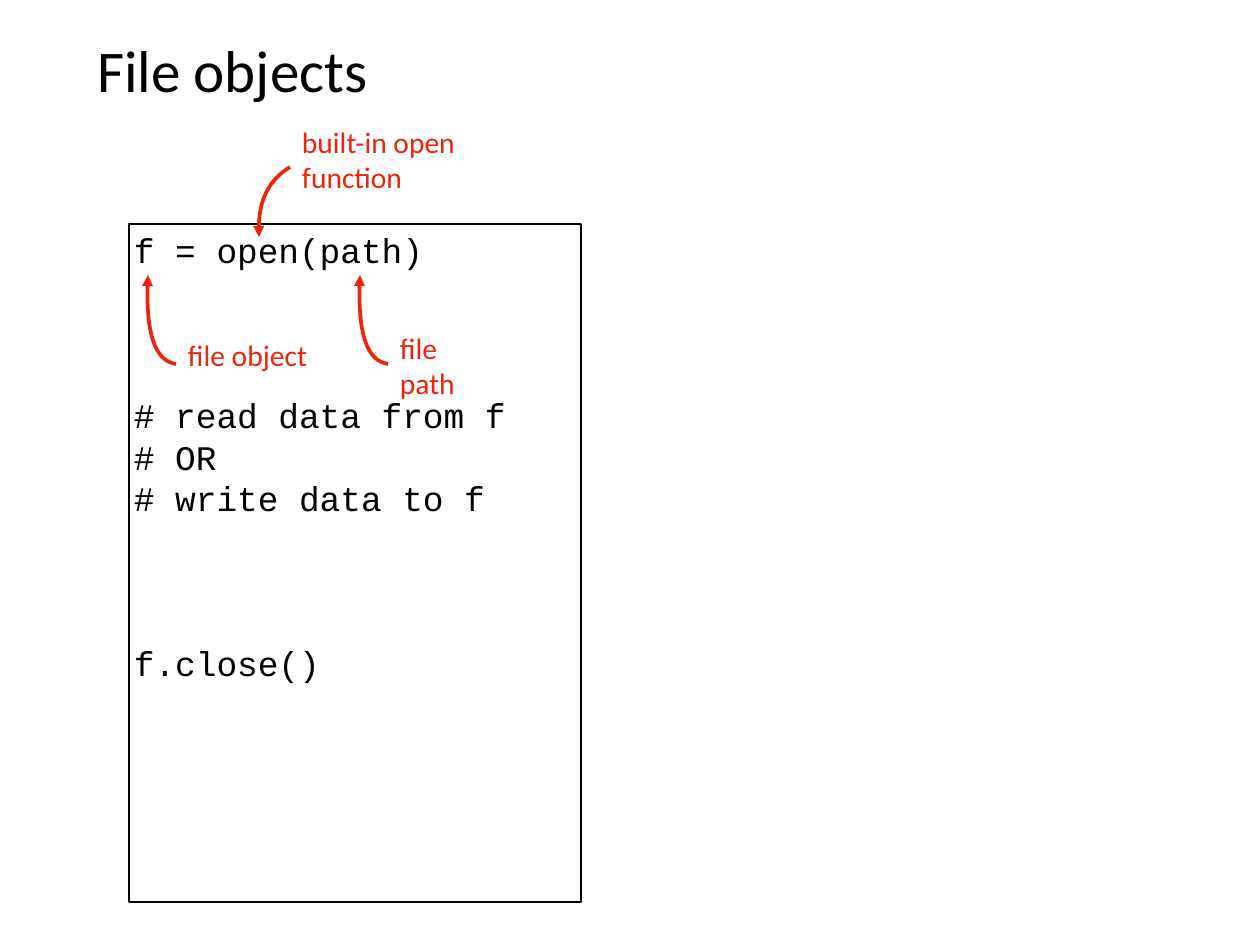
import pptx
import pptx.dml.color
import pptx.enum.text
import pptx.oxml.ns
import pptx.oxml.xmlchemy
import pptx.util
import lxml.etree

PX = 10321
COLORS = {"ink": "000000", "note": "EE230C", "paper": "FFFFFF"}
CODE_PITCH = 33.6
CODE_BLOCKS = [
    ["f = open(path)"],
    ["# read data from f", "# OR", "# write data to f"],
    ["f.close()"],
]
BLANK_LINES = 3


def px(length):
    return pptx.util.Emu(length * PX)


def color(name):
    return pptx.dml.color.RGBColor.from_string(COLORS[name])


def add_xml(parent, tag, **attributes):
    return lxml.etree.SubElement(parent, pptx.oxml.ns.qn(tag), attributes)


def place(box, left, top, width, height):
    box.left, box.top = px(left), px(top)
    box.width, box.height = px(width), px(height)


def format_frame(frame, anchor):
    frame.word_wrap = True
    frame.auto_size = pptx.enum.text.MSO_AUTO_SIZE.NONE
    frame.vertical_anchor = anchor
    frame.margin_left = frame.margin_right = px(5)
    frame.margin_top = frame.margin_bottom = px(5)


def format_paragraph(para, font_name, size, color_name):
    para.alignment = pptx.enum.text.PP_ALIGN.LEFT
    para.font.name = font_name
    para.font.size = pptx.util.Pt(size)
    para.font.color.rgb = color(color_name)


def fill_title(title, text):
    place(title, 92, 25, 1076, 88)
    format_frame(title.text_frame, pptx.enum.text.MSO_ANCHOR.MIDDLE)
    title.text_frame.text = text
    format_paragraph(title.text_frame.paragraphs[0], "Calibri", 48, "ink")


def fill_code(body, blocks):
    place(body, 129, 224, 452, 678)
    body.line.color.rgb = color("ink")
    body.line.width = pptx.util.Pt(1)
    frame = body.text_frame
    format_frame(frame, pptx.enum.text.MSO_ANCHOR.TOP)
    frame.text = "\n".join(line for block in blocks for line in block)
    block_starts = {sum(map(len, blocks[:i])) for i in range(1, len(blocks))}
    for number, para in enumerate(frame.paragraphs):
        properties = para._p.get_or_add_pPr()
        properties.set("marL", "0")
        properties.set("indent", "0")
        add_xml(properties, "a:buNone")
        gap = BLANK_LINES * CODE_PITCH if number in block_starts else 0
        para.space_before = pptx.util.Pt(gap)
        para.line_spacing = pptx.util.Pt(CODE_PITCH)
        format_paragraph(para, "Courier New", 28, "ink")


def add_note(slide, text, left, top, width, filled=False):
    box = slide.shapes.add_textbox(px(left), px(top), px(width), px(44))
    if filled:
        box.fill.solid()
        box.fill.fore_color.rgb = color("paper")
    format_frame(box.text_frame, pptx.enum.text.MSO_ANCHOR.MIDDLE)
    box.text_frame.text = text
    format_paragraph(box.text_frame.paragraphs[0], "Calibri", 24, "note")


def add_curved_arrow(slide, tip, bends, tail):
    builder = slide.shapes.build_freeform(*tip, scale=PX)
    builder.add_line_segments([*bends, tail], close=False)
    arrow = builder.convert_to_shape()
    arrow.shadow.inherit = False
    arrow.fill.background()
    arrow.line.color.rgb = color("note")
    arrow.line.width = pptx.util.Pt(3)

    segments = list(arrow.element.iter(pptx.oxml.ns.qn("a:lnTo")))
    outline = segments[0].getparent()
    curve = add_xml(outline, "a:cubicBezTo")
    for segment in segments:
        curve.append(segment[0])
        outline.remove(segment)
    line = next(arrow.element.iter(pptx.oxml.ns.qn("a:ln")))
    add_xml(line, "a:headEnd", type="triangle")


def main():
    deck = pptx.Presentation()
    deck.slide_width, deck.slide_height = px(1260), px(945)
    slide = deck.slides.add_slide(deck.slide_layouts[1])
    fill_title(slide.shapes.title, "File objects")
    fill_code(slide.placeholders[1], CODE_BLOCKS)

    add_curved_arrow(slide, (259, 237), [(257, 205), (268, 181)], (290, 167))
    add_note(slide, "built-in open function", 297, 137, 240)
    for left in (360, 148):
        bends = [(left - 3, 330), (left + 7, 361)]
        add_curved_arrow(slide, (left, 275), bends, (left + 28, 364))
    add_note(slide, "file object", 183, 333, 134, filled=True)
    add_note(slide, "file path", 395, 343, 100)

    deck.save("out.pptx")


if __name__ == "__main__":
    main()
